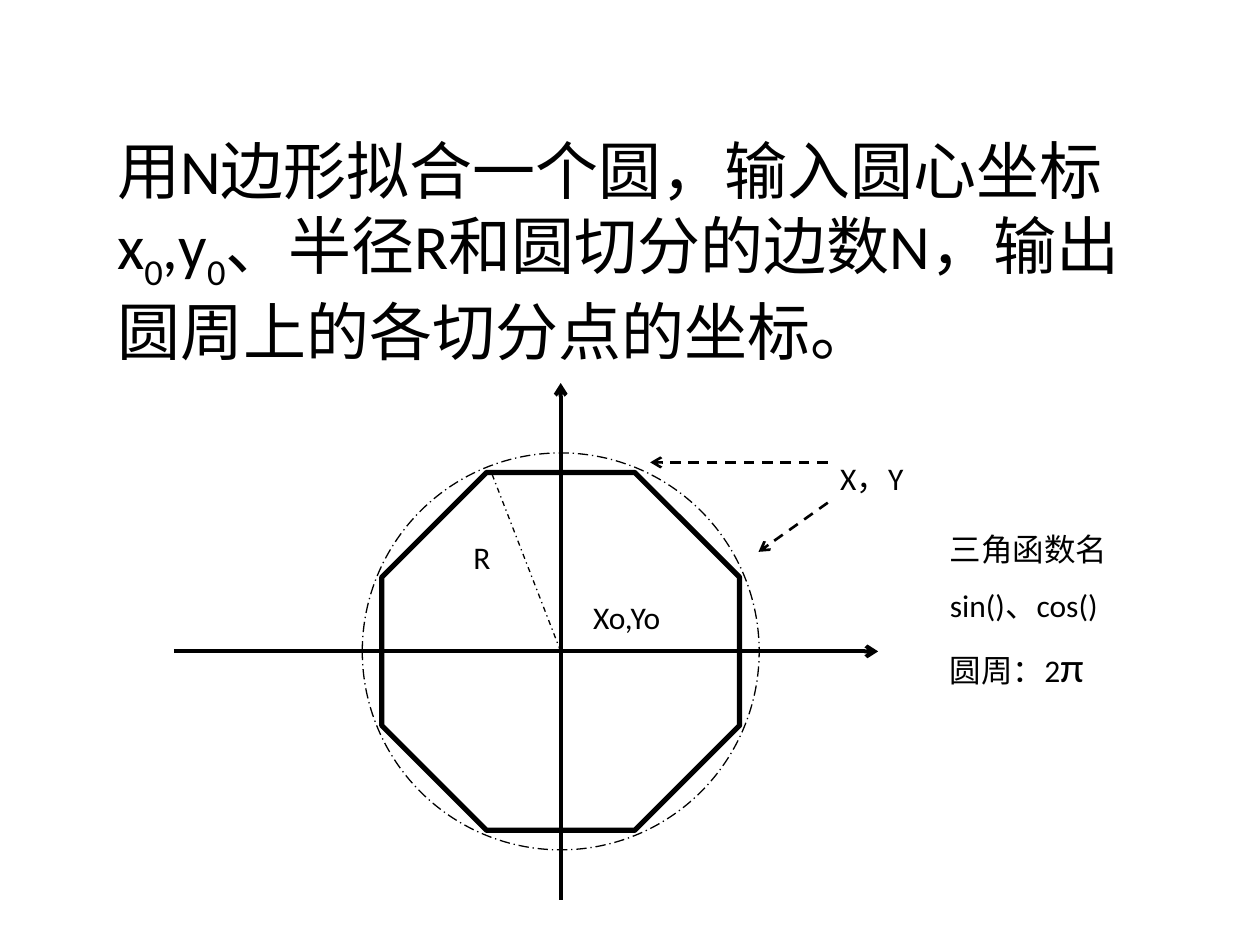
from pptx import Presentation
from pptx.dml.color import RGBColor
from pptx.enum.dml import MSO_LINE
from pptx.enum.shapes import MSO_CONNECTOR, MSO_SHAPE
from pptx.enum.text import MSO_ANCHOR, MSO_AUTO_SIZE, PP_ALIGN
from pptx.oxml.ns import qn
from pptx.util import Inches, Pt
from lxml.etree import SubElement

COLORS = {"ink": "000000"}
INK = RGBColor.from_string(COLORS["ink"])
FONT = "Calibri"


def add_run(para, text, size, base=0):
    run = para.add_run()
    run.text = text
    run.font.size = Pt(size)
    run.font.name = FONT
    run.font.color.rgb = INK
    if base:
        run.font._element.set("baseline", str(base * 1000))


def set_line(line, width, dash):
    line.color.rgb = INK
    line.width = Pt(width)
    if dash:
        line.dash_style = dash


deck = Presentation()
deck.slide_width, deck.slide_height = Inches(10), Inches(7.5)
slide = deck.slides.add_slide(deck.slide_layouts[5])
shapes = slide.shapes

title = shapes.title
title.left, title.top = Inches(0.83), Inches(0.99)
title.width, title.height = Inches(8.43), Inches(1.9)
frame = title.text_frame
frame.word_wrap = True
frame.auto_size = MSO_AUTO_SIZE.NONE
frame.vertical_anchor = MSO_ANCHOR.TOP
para = frame.paragraphs[0]
para.alignment = PP_ALIGN.LEFT
for text, base in [
    ("用N边形拟合一个圆，输入圆心坐标x", 0),
    ("0", -25),
    (",y", 0),
    ("0", -25),
    ("、半径R和圆切分的边数N，输出圆周上的各切分点的坐标。", 0),
]:
    add_run(para, text, 36, base)

mid_x, mid_y = 4.45, 5.17
for kind, size, width, dash in [
    (MSO_SHAPE.OCTAGON, 2.84, 3, None),
    (MSO_SHAPE.OVAL, 3.15, 0.75, MSO_LINE.LONG_DASH_DOT),
]:
    shape = shapes.add_shape(
        kind, Inches(mid_x - size / 2), Inches(mid_y - size / 2), Inches(size), Inches(size)
    )
    shape.shadow.inherit = False
    shape.fill.background()
    set_line(shape.line, width, dash)
    if kind == MSO_SHAPE.OCTAGON:
        shape.adjustments[0] = 0.293

for x1, y1, x2, y2, width, dash, arrow in [
    (1.38, mid_y, 6.97, mid_y, 2.25, None, True),
    (mid_x, 7.14, mid_x, 3.04, 2.25, None, True),
    (6.57, 3.99, 6.02, 4.38, 1.5, MSO_LINE.DASH, True),
    (6.57, 3.67, 5.16, 3.67, 1.5, MSO_LINE.DASH, True),
    (mid_x, mid_y, 3.9, 3.75, 0.75, MSO_LINE.DASH_DOT, False),
]:
    link = shapes.add_connector(
        MSO_CONNECTOR.STRAIGHT, Inches(x1), Inches(y1), Inches(x2), Inches(y2)
    )
    set_line(link.line, width, dash)
    if arrow:
        SubElement(link.line._get_or_add_ln(), qn("a:tailEnd"), type="arrow")
    SubElement(link._element.spPr, qn("a:effectLst"))

for left, top, width, height, rows in [
    (4.61, 4.7, 1.1, 0.4, [[("Xo,Yo", 18)]]),
    (6.57, 3.59, 0.95, 0.4, [[("X，Y", 18)]]),
    (3.66, 4.22, 0.47, 0.4, [[("R", 18)]]),
    (7.44, 4.16, 1.81, 1.45, [
        [("三角函数名", 18)],
        [("sin()、cos()", 18)],
        [("圆周：2", 18), ("π", 24)],
    ]),
]:
    box = shapes.add_textbox(Inches(left), Inches(top), Inches(width), Inches(height))
    frame = box.text_frame
    frame.word_wrap = True
    for i, row in enumerate(rows):
        para = frame.add_paragraph() if i else frame.paragraphs[0]
        para.space_before = Pt(10 if i else 0)
        for text, size in row:
            add_run(para, text, size)

deck.save("out.pptx")
